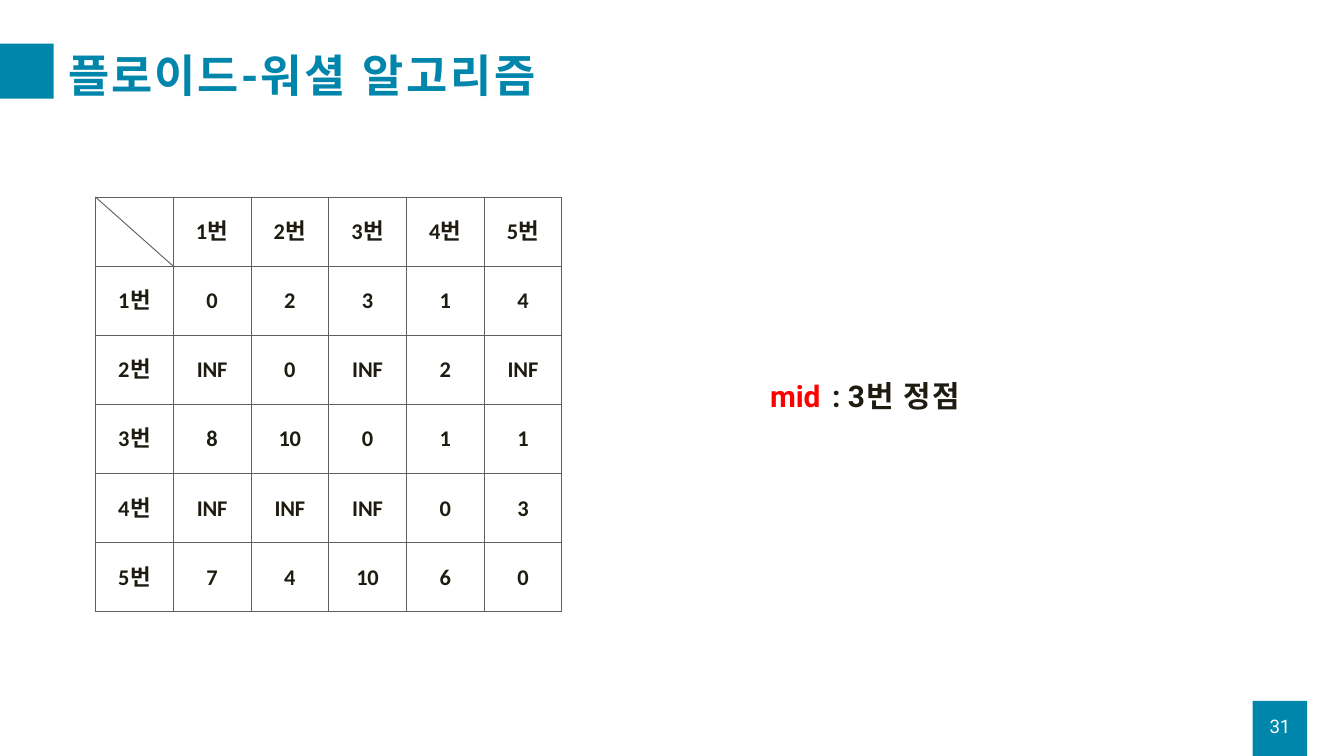
from lxml.etree import SubElement
from pptx import Presentation
from pptx.dml.color import RGBColor
from pptx.enum.shapes import MSO_CONNECTOR as CONN, MSO_SHAPE as SHAPE
from pptx.enum.text import MSO_ANCHOR as ANCHOR, PP_ALIGN as ALIGN
from pptx.oxml.ns import qn
from pptx.util import Cm, Pt

TEAL = RGBColor(0x00, 0x86, 0xAB)
TITLE = RGBColor(0x00, 0x85, 0xAB)
INK = RGBColor(0x1E, 0x1C, 0x11)
RED = RGBColor(0xFF, 0x00, 0x00)
WHITE = RGBColor(0xFF, 0xFF, 0xFF)
GRID = RGBColor(0x5F, 0x5F, 0x5F)

NODES = ["1", "2", "3", "4", "5"]
DISTANCES = [
    ["0", "2", "3", "1", "4"],
    ["INF", "0", "INF", "2", "INF"],
    ["8", "10", "0", "1", "1"],
    ["INF", "INF", "INF", "0", "3"],
    ["7", "4", "10", "6", "0"],
]


def add_run(p, text, size, color, font="Roboto", bold=True, spacing=0):
    r = p.add_run()
    r.text = text
    r.font.size = Pt(size)
    r.font.bold = bold
    r.font.color.rgb = color
    r.font.name = font
    rPr = r.font._element
    SubElement(rPr, qn("a:ea")).set("typeface", font)
    rPr.set("spc", str(round(spacing * 100)))


def add_text(s, x, y, w, h, anchor=ANCHOR.TOP):
    tf = s.shapes.add_textbox(Cm(x), Cm(y), Cm(w), Cm(h)).text_frame
    tf.word_wrap = True
    tf.vertical_anchor = anchor
    tf.margin_left = tf.margin_right = tf.margin_bottom = 0
    tf.margin_top = Cm(0.03)
    return tf.paragraphs[0]


def add_block(s, x, y, w, h):
    sp = s.shapes.add_shape(SHAPE.RECTANGLE, Cm(x), Cm(y), Cm(w), Cm(h))
    sp.shadow.inherit = False
    sp.fill.solid()
    sp.fill.fore_color.rgb = TEAL
    sp.line.fill.background()


def add_title(s, x, y, w, h):
    add_block(s, x, y, 2.06, h)
    p = add_text(s, x + 2.62, y + 0.1, w - 2.62, h, ANCHOR.MIDDLE)
    p.space_before = Pt(1)
    add_run(p, "플로이드-", 48, TITLE, spacing=2.1)
    add_run(p, "워셜 ", 48, TITLE, spacing=3.1)
    add_run(p, "알고리즘", 48, TITLE, spacing=2.9)


def style_cell(cell):
    cell.margin_left = cell.margin_right = cell.margin_bottom = 0
    cell.margin_top = Cm(0.81)
    tcPr = cell._tc.get_or_add_tcPr()
    for side in ("lnL", "lnR", "lnT", "lnB"):
        ln = SubElement(tcPr, qn(f"a:{side}"), w=str(Pt(1)))
        fill = SubElement(ln, qn("a:solidFill"))
        SubElement(fill, qn("a:srgbClr"), val=str(GRID))
    cell.fill.background()


def add_matrix(s, x, y, w, h):
    n = len(NODES) + 1
    table = s.shapes.add_table(n, n, Cm(x), Cm(y), Cm(w), Cm(h)).table
    table.first_row = table.horz_banding = False
    for line in table.columns:
        line.width = Cm(w / n)
    for line in table.rows:
        line.height = Cm(h / n)
    for i in range(n):
        for j in range(n):
            cell = table.cell(i, j)
            style_cell(cell)
            p = cell.text_frame.paragraphs[0]
            p.alignment = ALIGN.CENTER
            if i and j:
                value = DISTANCES[i - 1][j - 1]
                spacing = -0.5 if len(value) == 1 else -0.2
                add_run(p, value, 24, INK, "Calibri", spacing=spacing)
            elif i or j:
                add_run(p, NODES[i + j - 1], 24, INK, "Calibri", spacing=0.6)
                add_run(p, "번", 24, INK, spacing=0.6)
    diagonal = s.shapes.add_connector(
        CONN.STRAIGHT, Cm(x), Cm(y), Cm(x + w / n), Cm(y + h / n))
    diagonal.line.color.rgb = GRID
    diagonal.line.width = Pt(1)
    SubElement(diagonal._element.spPr, qn("a:effectLst"))


def add_mid_note(s, x, y, w, h):
    p = add_text(s, x, y, w, h)
    p.space_before = Pt(1.1)
    tabs = SubElement(p._p.get_or_add_pPr(), qn("a:tabLst"))
    SubElement(tabs, qn("a:tab"), pos=str(Cm(2.34)), algn="l")
    add_run(p, "mid\t", 32, RED, spacing=-0.2)
    add_run(p, ": ", 32, INK)
    add_run(p, "3번 ", 32, INK, spacing=1.1)
    add_run(p, "정점", 32, INK, spacing=1.6)


def add_page_number(s, x, y, w, h):
    add_block(s, x, y, w, h)
    p = add_text(s, x, y + 0.63, w, 0.71, ANCHOR.MIDDLE)
    p.alignment = ALIGN.CENTER
    p.line_spacing = Pt(20.1)
    add_run(p, "31", 20, WHITE, bold=False, spacing=-0.2)


def main():
    prs = Presentation()
    prs.slide_width, prs.slide_height = Cm(50.8), Cm(28.58)
    s = prs.slides.add_slide(prs.slide_layouts[6])
    add_page_number(s, 47.35, 26.5, 2.06, 2.08)
    add_title(s, -0.03, 1.65, 48.98, 2.08)
    add_matrix(s, 3.61, 7.45, 17.63, 15.67)
    add_mid_note(s, 29.11, 14.25, 8.28, 1.4)
    prs.save("out.pptx")


if __name__ == "__main__":
    main()
